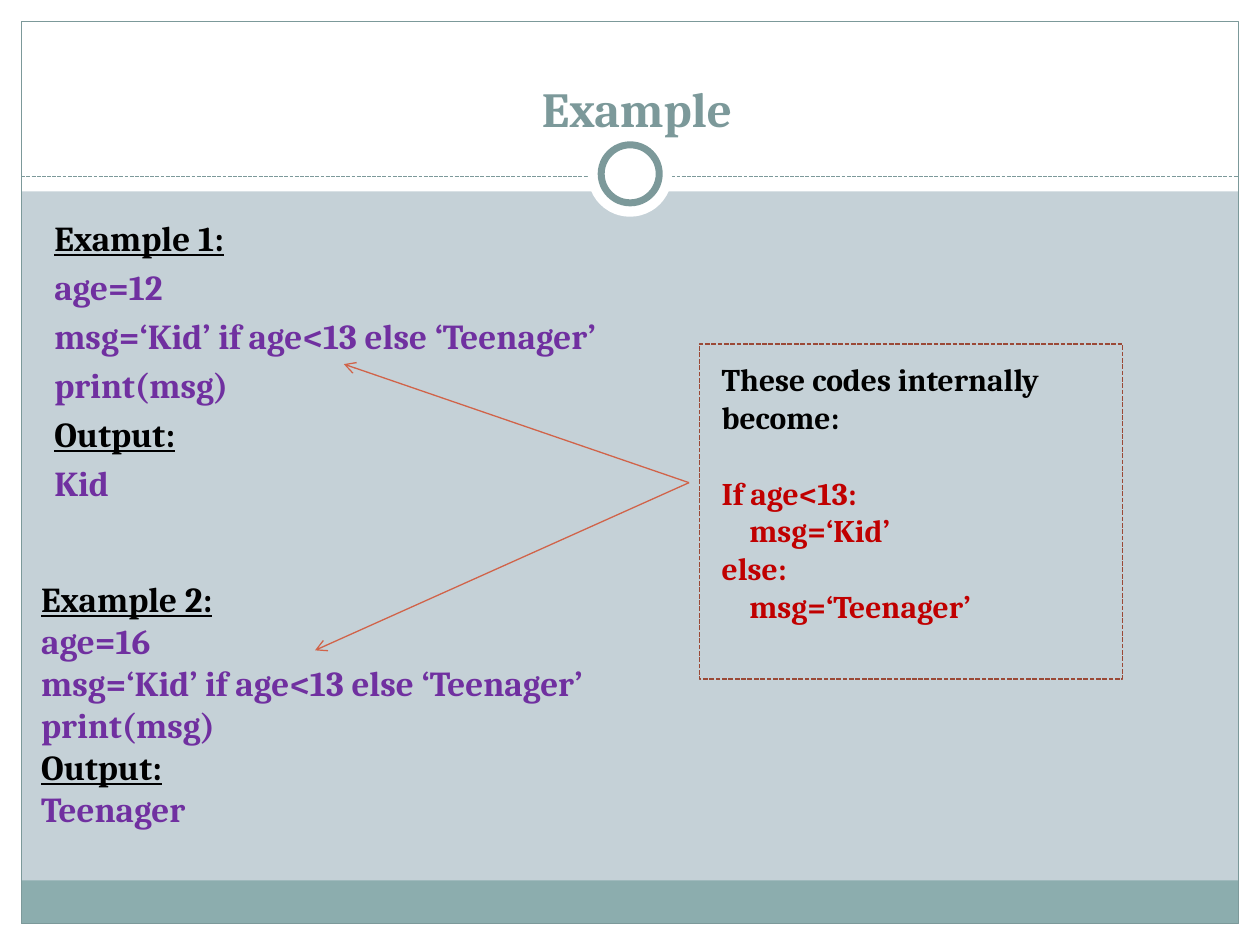
import pptx
import pptx.dml.color
import pptx.enum.dml
import pptx.enum.shapes
import pptx.enum.text
import pptx.oxml.ns
import pptx.util
from lxml import etree

Cm = pptx.util.Cm
Pt = pptx.util.Pt
SHAPES = pptx.enum.shapes.MSO_SHAPE
AUTO_SIZE = pptx.enum.text.MSO_AUTO_SIZE
DASH = pptx.enum.dml.MSO_LINE.SQUARE_DOT

FONT = "Cambria"
COLORS = {
    "background": "C5D1D7",
    "white": "FFFFFF",
    "teal": "7C999A",
    "footer": "8CADAE",
    "heading": "000000",
    "code": "7030A0",
    "expansion": "C00000",
    "arrow": "D16349",
    "note_border": "9B4936",
}


def rgb(name):
    return pptx.dml.color.RGBColor.from_string(COLORS[name])


def add_child(parent, tag, **attributes):
    return etree.SubElement(parent, pptx.oxml.ns.qn(tag), **attributes)


def style_line(line, color, width, dash=None):
    line.color.rgb = rgb(color)
    line.width = Pt(width)
    if dash is not None:
        line.dash_style = dash


def add_panel(slide, kind, box, fill=None, line=None, width=0.75, dash=None):
    shape = slide.shapes.add_shape(kind, *map(Cm, box))
    shape.shadow.inherit = False
    if fill:
        shape.fill.solid()
        shape.fill.fore_color.rgb = rgb(fill)
    else:
        shape.fill.background()
    if line:
        style_line(shape.line, line, width, dash)
    else:
        shape.line.fill.background()


def add_line(slide, start, end, color, dash=None, arrow=False):
    connector = slide.shapes.add_connector(
        pptx.enum.shapes.MSO_CONNECTOR.STRAIGHT, *map(Cm, start + end))
    style_line(connector.line, color, 0.75, dash)
    if arrow:
        add_child(connector.line._get_or_add_ln(), "a:tailEnd", type="arrow")
    add_child(connector.element.spPr, "a:effectLst")


def add_text(paragraph, text, color, size, underline=False):
    run = paragraph.add_run()
    run.text = text
    run.font.name = FONT
    run.font.size = Pt(size)
    run.font.bold = True
    run.font.underline = underline
    run.font.color.rgb = rgb(color)


def fill_lines(frame, lines, size, space_before=0, hanging=None):
    """Write (text, color) lines; headings ending an example are underlined."""
    for index, (text, color, underline) in enumerate(lines):
        paragraph = frame.paragraphs[0] if index == 0 else frame.add_paragraph()
        if hanging is not None:
            properties = paragraph._p.get_or_add_pPr()
            properties.set("marL", str(hanging))
            properties.set("indent", str(-hanging))
            add_child(properties, "a:buNone")
        paragraph.space_before = Pt(space_before if index else 0)
        add_text(paragraph, text, color, size, underline)


def example_lines(number, age, output):
    return [
        (f"Example {number}:", "heading", True),
        (f"age={age}", "code", False),
        ("msg=‘Kid’ if age<13 else ‘Teenager’", "code", False),
        ("print(msg)", "code", False),
        ("Output:", "heading", True),
        (output, "code", False),
    ]


def place_placeholder(shape, box):
    """Position a placeholder and bring it in front of the panels."""
    shape.left, shape.top, shape.width, shape.height = map(Cm, box)
    shape.element.getparent().append(shape.element)
    shape.text_frame.auto_size = AUTO_SIZE.NONE
    return shape.text_frame


def add_text_box(slide, box):
    frame = slide.shapes.add_textbox(*map(Cm, box)).text_frame
    frame.word_wrap = True
    frame.auto_size = AUTO_SIZE.SHAPE_TO_FIT_TEXT
    return frame


def add_backdrop(slide):
    slide.background.fill.solid()
    slide.background.fill.fore_color.rgb = rgb("background")
    margin, width, height = 0.43, 25.4, 19.05
    inner_width, inner_height = width - 2 * margin, height - 2 * margin
    for box in (
        (0, height - margin, width, margin),
        (0, 0, width, 3.86),
        (0, 0, margin, height),
        (width - margin, 0, margin, height),
    ):
        add_panel(slide, SHAPES.RECTANGLE, box, fill="white")
    add_panel(slide, SHAPES.RECTANGLE, (margin, 17.75, inner_width, 0.87), fill="footer")
    add_panel(slide, SHAPES.RECTANGLE, (margin, margin, inner_width, inner_height), line="teal")
    add_line(slide, (margin, 3.56), (width - margin, 3.56), "teal", DASH)
    add_panel(slide, SHAPES.OVAL, (11.85, 2.67, 1.7, 1.7), fill="white")
    add_panel(slide, SHAPES.OVAL, (12.12, 2.92, 1.17, 1.17), fill="white", line="teal", width=4)


def add_title(slide):
    frame = place_placeholder(slide.shapes.title, (0.99, 0.79, 23.7, 2.11))
    frame.vertical_anchor = pptx.enum.text.MSO_ANCHOR.BOTTOM
    paragraph = frame.paragraphs[0]
    paragraph.alignment = pptx.enum.text.PP_ALIGN.CENTER
    add_text(paragraph, "Example", "teal", 28)


def add_examples(slide):
    body = place_placeholder(slide.placeholders[1], (0.84, 4.24, 23.62, 13.49))
    fill_lines(body, example_lines(1, 12, "Kid"), 20, space_before=4, hanging=Cm(0.76))
    second = add_text_box(slide, (0.58, 11.51, 13.39, 5.38))
    fill_lines(second, example_lines(2, 16, "Teenager"), 20)


def add_note(slide):
    frame = add_text_box(slide, (14.3, 7.14, 8.08, 6.4))
    intro = ["These codes internally", "become:"]
    code = ["If age<13:", "    msg=‘Kid’", "else:", "    msg=‘Teenager’"]
    lines = [(text, "heading", False) for text in intro]
    lines += [(text, "expansion", False) for text in code]
    fill_lines(frame, lines, 18)
    frame.paragraphs[len(intro)].space_before = Pt(21.5)
    for end in ((6.93, 7.34), (6.35, 13.11)):
        add_line(slide, (13.89, 9.73), end, "arrow", arrow=True)
    add_panel(slide, SHAPES.RECTANGLE, (14.1, 6.93, 8.53, 6.76),
              line="note_border", width=0.9, dash=DASH)


def main():
    presentation = pptx.Presentation()
    presentation.slide_width = Cm(25.4)
    presentation.slide_height = Cm(19.05)
    slide = presentation.slides.add_slide(presentation.slide_layouts[1])
    add_backdrop(slide)
    add_title(slide)
    add_examples(slide)
    add_note(slide)
    presentation.save("out.pptx")


if __name__ == "__main__":
    main()
